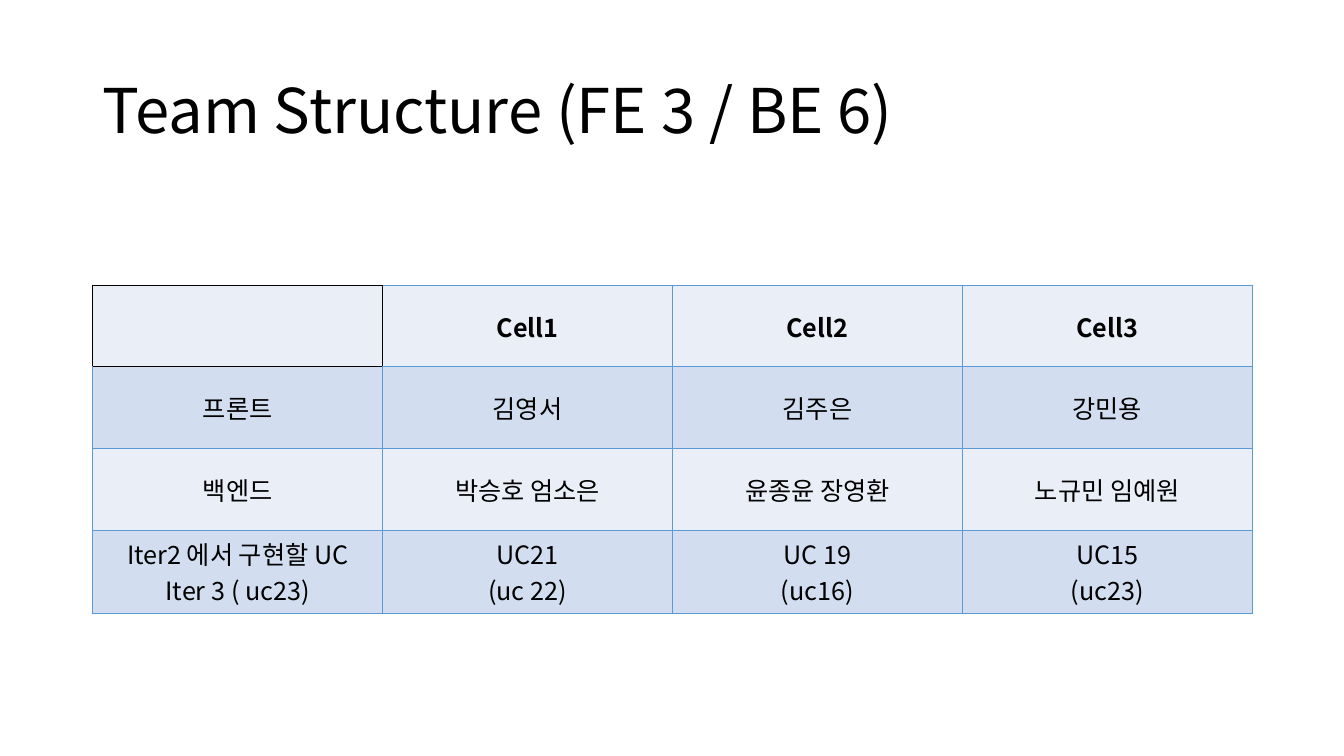
from lxml import etree
from pptx import Presentation
from pptx.dml.color import RGBColor
from pptx.enum.text import MSO_ANCHOR, PP_ALIGN
from pptx.oxml.ns import qn
from pptx.util import Inches, Pt

LEFT, CENTER = PP_ALIGN.LEFT, PP_ALIGN.CENTER
MIDDLE = MSO_ANCHOR.MIDDLE
FONT = "Noto Sans CJK KR"
COLORS = {"text": "000000", "line": "5B9BD5", "light": "EAEFF7", "dark": "D2DEEF"}

TITLE = "Team Structure (FE 3 / BE 6)"
ROWS = [
    ["", "Cell1", "Cell2", "Cell3"],
    ["프론트", "김영서", "김주은", "강민용"],
    ["백엔드", "박승호 엄소은", "윤종윤 장영환", "노규민 임예원"],
    ["Iter2 에서 구현할 UC\nIter 3 ( uc23)", "UC21\n(uc 22)", "UC 19\n(uc16)", "UC15\n(uc23)"],
]
X, WIDTH = 0.92, 11.5
ROW_H = 0.81


def style(par, size, align, bold=False):
    par.alignment = align
    font = par.font
    font.size, font.bold, font.name = Pt(size), bold, FONT
    font.color.rgb = RGBColor.from_string(COLORS["text"])
    props = par._p.get_or_add_pPr().find(qn("a:defRPr"))
    etree.SubElement(props, qn("a:ea")).set("typeface", FONT)


def border(cell, row, col):
    props = cell._tc.get_or_add_tcPr()
    black = {(0, 0): "LRTB", (0, 1): "L", (1, 0): "T"}.get((row, col), "")
    for place, side in enumerate("LRTB"):
        line = etree.Element(qn("a:ln" + side), w=str(Pt(1)))
        fill = etree.SubElement(line, qn("a:solidFill"))
        color = COLORS["text" if side in black else "line"]
        etree.SubElement(fill, qn("a:srgbClr")).set("val", color)
        props.insert(place, line)


def add_title(slide):
    title = slide.shapes.title
    title.left, title.top = Inches(X), Inches(0.4)
    title.width, title.height = Inches(WIDTH), Inches(1.45)
    title.text_frame.text = TITLE
    title.text_frame.vertical_anchor = MIDDLE
    par = title.text_frame.paragraphs[0]
    par.line_spacing = 0.9
    style(par, 44, LEFT)


def add_grid(slide):
    count = len(ROWS)
    frame = slide.shapes.add_table(
        count, len(ROWS[0]), Inches(X), Inches(2.83), Inches(WIDTH), Inches(ROW_H * count)
    )
    table = frame.table
    for row, texts in enumerate(ROWS):
        table.rows[row].height = Inches(ROW_H)
        for col, text in enumerate(texts):
            cell = table.cell(row, col)
            cell.text = text
            cell.vertical_anchor = MIDDLE
            cell.fill.solid()
            shade = COLORS["dark" if row % 2 else "light"]
            cell.fill.fore_color.rgb = RGBColor.from_string(shade)
            border(cell, row, col)
            for par in cell.text_frame.paragraphs:
                style(par, 18, CENTER, row == 0)


def main():
    deck = Presentation()
    deck.slide_width, deck.slide_height = Inches(13.33), Inches(7.5)
    slide = deck.slides.add_slide(deck.slide_layouts[5])
    add_title(slide)
    add_grid(slide)
    deck.save("out.pptx")


if __name__ == "__main__":
    main()
